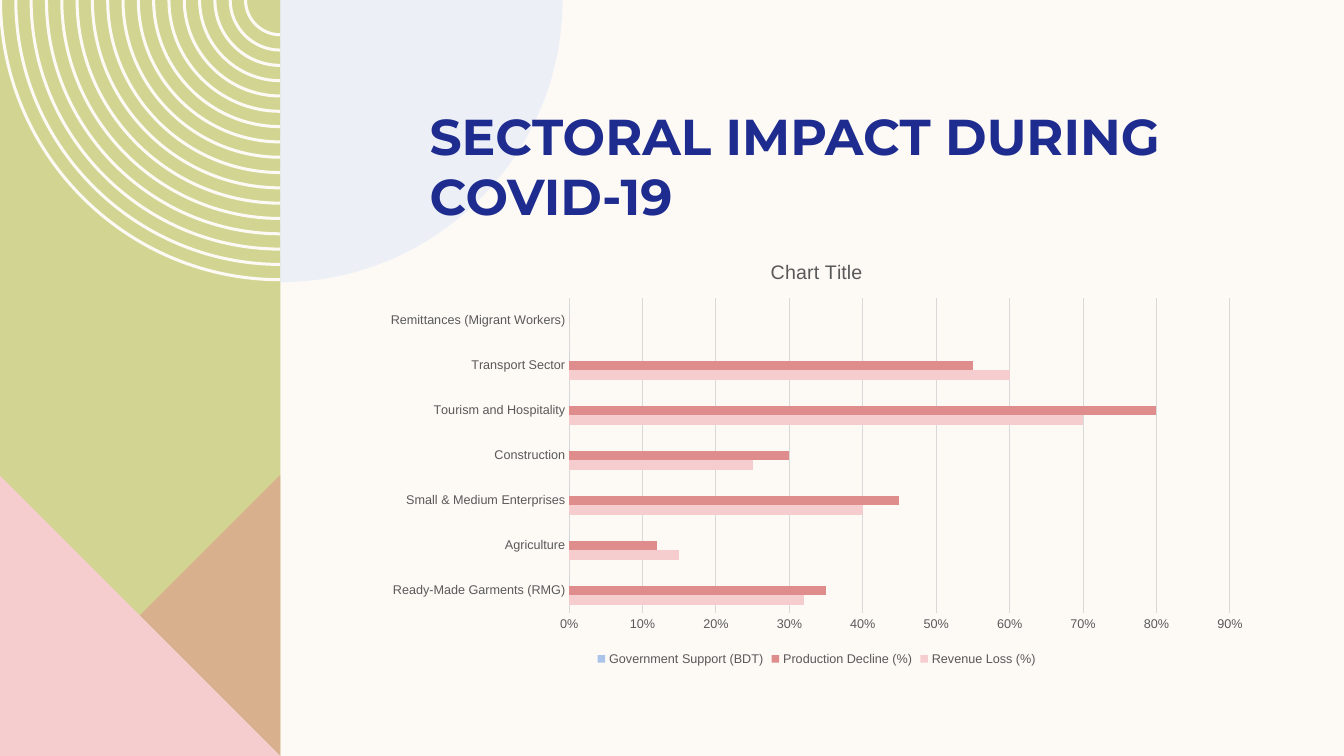
"""Build the slide on sectoral impact during COVID-19."""
from dataclasses import dataclass
from typing import Optional

from lxml.etree import SubElement
from pptx import Presentation
from pptx.chart.data import CategoryChartData
from pptx.dml.color import RGBColor
from pptx.enum.chart import XL_CHART_TYPE as ChartType
from pptx.enum.chart import XL_LEGEND_POSITION as LegendPosition
from pptx.enum.chart import XL_TICK_MARK as TickMark
from pptx.enum.shapes import MSO_SHAPE as Shape
from pptx.enum.text import MSO_ANCHOR as Anchor
from pptx.enum.text import MSO_AUTO_SIZE as AutoSize
from pptx.enum.text import PP_ALIGN as Align
from pptx.oxml.ns import qn
from pptx.util import Inches, Pt

COLORS = {
    "cream": "FDFAF6", "olive": "D2D592", "rose": "DE8C8C", "pink": "F5CDCE",
    "sky": "DDE7F6", "blue": "AAC3E8", "navy": "1F2C8F", "text": "595959",
    "grid": "D9D9D9",
}
PANEL_EDGE, TRIANGLE_TOP, SLIDE_HEIGHT = 2.78, 4.71, 7.5
RING_COUNT, RING_WIDTH = 17, 0.03
OUTER_RADIUS, INNER_RADIUS = 2.79, 0.36
CIRCLE_RADIUS, ARC_HANDLE = 2.8, 0.55

Point = tuple[float, float]


@dataclass(frozen=True)
class Outline:
    contours: list[list[Point]]
    color: str
    opacity: Optional[int] = None
    curved: bool = False


@dataclass(frozen=True)
class Sector:
    name: str
    revenue_loss: float
    production_decline: float
    government_support: float = 0


@dataclass(frozen=True)
class Measure:
    name: str
    field: str
    color: str


SECTORS = [
    Sector("Ready-Made Garments (RMG)", 0.32, 0.35),
    Sector("Agriculture", 0.15, 0.12),
    Sector("Small & Medium Enterprises", 0.4, 0.45),
    Sector("Construction", 0.25, 0.3),
    Sector("Tourism and Hospitality", 0.7, 0.8),
    Sector("Transport Sector", 0.6, 0.55),
    Sector("Remittances (Migrant Workers)", 0, 0),
]
MEASURES = [
    Measure("Revenue Loss (%)", "revenue_loss", "pink"),
    Measure("Production Decline (%)", "production_decline", "rose"),
    Measure("Government Support (BDT)", "government_support", "blue"),
]


def rgb(name: str) -> RGBColor:
    """Return a palette colour."""
    return RGBColor.from_string(COLORS[name])


def quarter_arc(radius: float, side: int) -> list[Point]:
    """Return the ends and handles of an arc around the panel's top right corner."""
    handle = radius * ARC_HANDLE
    offsets = [(radius, 0), (radius, handle), (handle, radius), (0, radius)]
    return [(PANEL_EDGE + side * x, y) for x, y in offsets]


def ring(index: int) -> list[Point]:
    """Return the outline of one thin quarter ring."""
    radius = OUTER_RADIUS - index * (OUTER_RADIUS - INNER_RADIUS) / (RING_COUNT - 1)
    return quarter_arc(radius, -1) + quarter_arc(radius - RING_WIDTH, -1)[::-1]


def paint(shape, color: str) -> None:
    """Give a shape a plain fill without line or shadow."""
    shape.shadow.inherit = False
    shape.fill.solid()
    shape.fill.fore_color.rgb = rgb(color)
    shape.line.fill.background()


def bend(shape) -> None:
    """Turn the two arcs of each contour into Bezier curves."""
    for start in list(shape._element.iter(qn("a:moveTo"))):
        segments = list(start.itersiblings())
        for first in (0, 4):
            arc = segments[first:first + 3]
            if len(arc) == 3 and all(line.tag == qn("a:lnTo") for line in arc):
                outline = start.getparent()
                curve = SubElement(outline, qn("a:cubicBezTo"))
                arc[0].addprevious(curve)
                for line in arc:
                    curve.append(line[0])
                    outline.remove(line)


def draw_outline(slide, outline: Outline) -> None:
    """Draw an outline of one or more closed contours."""
    contours = [[(Inches(x), Inches(y)) for x, y in contour] for contour in outline.contours]
    builder = slide.shapes.build_freeform(*contours[0][0])
    builder.add_line_segments(contours[0][1:], close=True)
    for start, *rest in contours[1:]:
        builder.move_to(*start)
        builder.add_line_segments(rest, close=True)
    shape = builder.convert_to_shape()
    paint(shape, outline.color)
    if outline.curved:
        bend(shape)
    if outline.opacity is not None:
        fill_color = shape._element.spPr.find(qn("a:solidFill"))[0]
        SubElement(fill_color, qn("a:alpha")).set("val", str(outline.opacity * 1000))


def draw_decoration(slide) -> None:
    """Draw the left panel with its rings, triangles and quarter circle."""
    panel = slide.shapes.add_shape(
        Shape.RECTANGLE, Inches(-0.01), 0, Inches(2.79), Inches(SLIDE_HEIGHT))
    paint(panel, "olive")
    top_right, bottom_right = (PANEL_EDGE, TRIANGLE_TOP), (PANEL_EDGE, SLIDE_HEIGHT)
    top_left, bottom_left = (-0.01, TRIANGLE_TOP), (-0.01, SLIDE_HEIGHT)
    circle = quarter_arc(CIRCLE_RADIUS, 1) + [(PANEL_EDGE, 0)]
    for outline in (
        Outline([ring(index) for index in range(RING_COUNT)], "cream", curved=True),
        Outline([[top_right, bottom_right, bottom_left]], "rose", 50),
        Outline([[bottom_right, bottom_left, top_left]], "pink"),
        Outline([circle], "sky", 50, curved=True),
    ):
        draw_outline(slide, outline)


def style_font(font, size: float, color: str = "text", face: str = "Arial",
               bold: bool = False) -> None:
    """Set the size, colour, face and weight of a font."""
    font.size, font.name, font.bold = Pt(size), face, bold
    font.color.rgb = rgb(color)


def write_title(slide) -> None:
    """Fill and place the title above the decoration."""
    title = slide.shapes.title
    slide.shapes._spTree.append(title._element)
    title.left, title.top = Inches(4.16), Inches(0.5)
    title.width, title.height = Inches(8.71), Inches(1.74)
    frame = title.text_frame
    frame.text = "SECTORAL IMPACT DURING COVID-19"
    frame.word_wrap, frame.auto_size = True, AutoSize.NONE
    frame.vertical_anchor = Anchor.BOTTOM
    frame.margin_left = frame.margin_right = Inches(0.1)
    frame.margin_top = frame.margin_bottom = 0
    heading = frame.paragraphs[0]
    heading.alignment = Align.LEFT
    style_font(heading.runs[0].font, 36, "navy", "Montserrat", True)


def draw_chart(slide) -> None:
    """Draw the bar chart of losses by sector."""
    impact = CategoryChartData(number_format="0%")
    impact.categories = [sector.name for sector in SECTORS]
    for measure in MEASURES:
        impact.add_series(measure.name, [getattr(sector, measure.field) for sector in SECTORS])
    chart = slide.shapes.add_chart(
        ChartType.BAR_CLUSTERED, Inches(3.7), Inches(2.4), Inches(8.8), Inches(4.25), impact).chart
    style_font(chart.font, 10)
    chart.chart_title.text_frame.text = "Chart Title"
    style_font(chart.chart_title.text_frame.paragraphs[0].runs[0].font, 14)
    chart.has_legend = True
    chart.legend.position = LegendPosition.BOTTOM
    chart.legend.include_in_layout = False
    style_font(chart.legend.font, 9)

    bars = chart.plots[0]
    bars.gap_width, bars.overlap, bars.vary_by_categories = 182, 0, False
    for series, measure in zip(bars.series, MEASURES):
        series.format.fill.solid()
        series.format.fill.fore_color.rgb = rgb(measure.color)

    sector_axis, percent_axis = chart.category_axis, chart.value_axis
    for axis in (sector_axis, percent_axis):
        axis.major_tick_mark = axis.minor_tick_mark = TickMark.NONE
        style_font(axis.tick_labels.font, 9)
    for line in (sector_axis.format.line, percent_axis.major_gridlines.format.line):
        line.color.rgb, line.width = rgb("grid"), Pt(0.75)
    percent_axis.format.line.fill.background()
    percent_axis.maximum_scale, percent_axis.major_unit = 0.9, 0.1


def main() -> None:
    """Build and save the presentation."""
    deck = Presentation()
    deck.slide_width, deck.slide_height = Inches(13.33), Inches(SLIDE_HEIGHT)
    slide = deck.slides.add_slide(deck.slide_layouts[5])
    slide.background.fill.solid()
    slide.background.fill.fore_color.rgb = rgb("cream")
    draw_decoration(slide)
    write_title(slide)
    draw_chart(slide)
    deck.save("out.pptx")


if __name__ == "__main__":
    main()
